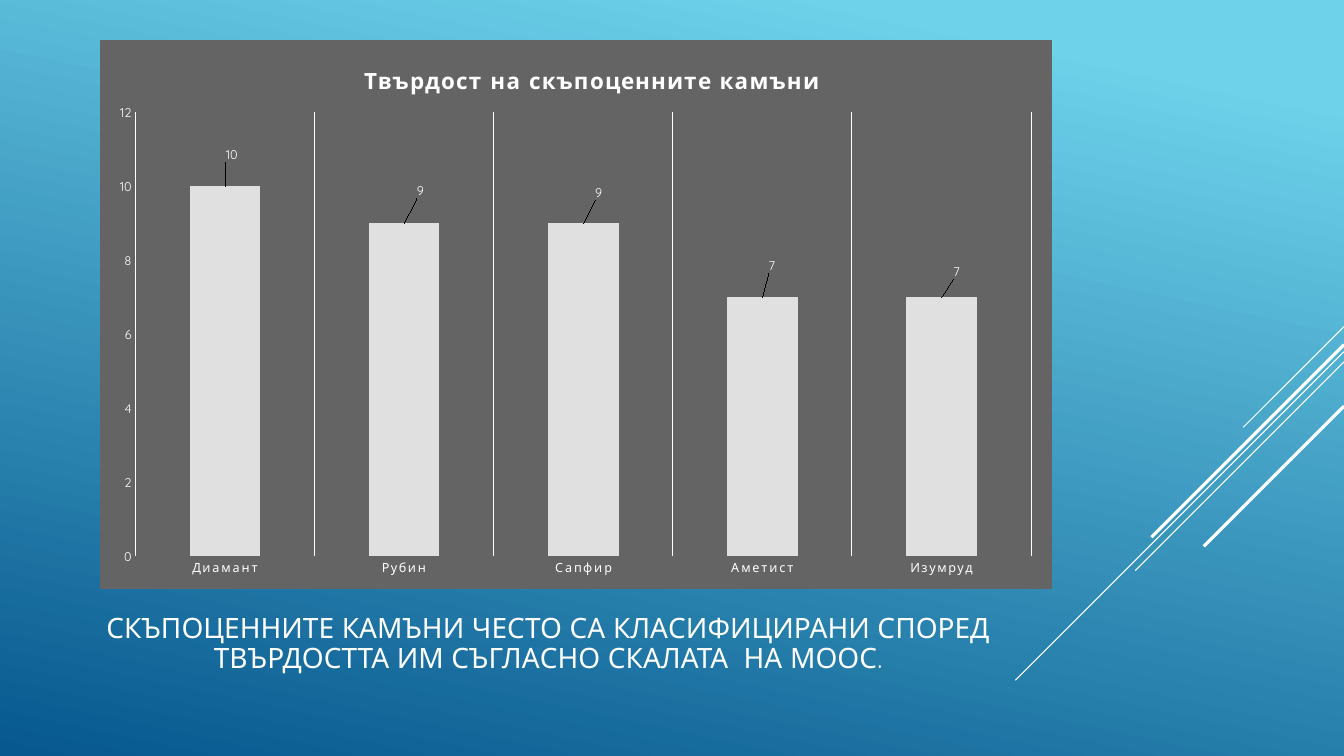
from lxml import etree
from pptx import Presentation
from pptx.chart.data import CategoryChartData
from pptx.dml.color import RGBColor
from pptx.enum.chart import XL_CHART_TYPE, XL_LABEL_POSITION, XL_TICK_MARK
from pptx.enum.shapes import MSO_CONNECTOR
from pptx.enum.text import MSO_ANCHOR, PP_ALIGN
from pptx.oxml import parse_xml
from pptx.oxml.ns import nsdecls, qn
from pptx.util import Inches, Pt

COLUMN = XL_CHART_TYPE.COLUMN_CLUSTERED
ABOVE = XL_LABEL_POSITION.OUTSIDE_END
NO_TICK = XL_TICK_MARK.NONE
STRAIGHT = MSO_CONNECTOR.STRAIGHT
MIDDLE = MSO_ANCHOR.MIDDLE
CENTER = PP_ALIGN.CENTER

WHITE = RGBColor(0xFF, 0xFF, 0xFF)
SKY = RGBColor(0x6E, 0xD2, 0xEB)
NAVY = RGBColor(0x06, 0x58, 0x8E)
GRAY = RGBColor(0x64, 0x64, 0x64)
PALE = RGBColor(0xE0, 0xE0, 0xE0)

STONES = {"Диамант": 10, "Рубин": 9, "Сапфир": 9, "Аметист": 7, "Изумруд": 7}
# Label shifts, in percent of the chart's width and height
SHIFTS = [(0.7, -3.6), (1.7, -3.8), (1.6, -3.5), (1, -3.6), (1.6, -2.6)]
# Start height and run in percent, then line width in points
RAYS = [(43.2, 7.5, 0.75), (46.53, 24.45, 0.75), (47.87, 15.53, 0.75),
        (45.6, 14.33, 2.25), (53.73, 10.43, 2.25)]


def layout(x, y, w=None, h=None, inner=False, edge=True):
    """Return a manual chart layout; lengths are percent of the chart."""
    rows = [("layoutTarget", "inner")] if inner else []
    if edge:
        rows += [("xMode", "edge"), ("yMode", "edge")]
    sizes = zip("xywh", (x, y, w, h))
    rows += [(tag, size / 100) for tag, size in sizes if size is not None]
    body = "".join(f'<c:{tag} val="{val}"/>' for tag, val in rows)
    return parse_xml(f'<c:layout {nsdecls("c")}><c:manualLayout>{body}'
                     '</c:manualLayout></c:layout>')


def place(node, box):
    """Swap in a layout at its place in a title or a plot area."""
    for old in node.findall(qn("c:layout")):
        node.remove(old)
    text = node.find(qn("c:tx"))
    if text is None:
        node.insert(0, box)
    else:
        text.addnext(box)


class Deck:
    """Holds the style and slide; lengths are percent of the slide."""

    font = "Quicksand"
    color = WHITE

    def __init__(self, width, height):
        self.prs = Presentation()
        self.prs.slide_width = Inches(width)
        self.prs.slide_height = Inches(height)
        self.slide = self.prs.slides.add_slide(self.prs.slide_layouts[6])
        self.shapes = self.slide.shapes

    def across(self, share):
        return round(self.prs.slide_width * share / 100)

    def down(self, share):
        return round(self.prs.slide_height * share / 100)

    def box(self, x, y, w, h):
        return self.across(x), self.down(y), self.across(w), self.down(h)

    def style(self, font, size, bold=False):
        font.name, font.size, font.bold = self.font, Pt(size), bold
        font.color.rgb = self.color

    def put(self, frame, text, size, bold=False, space=0, lead=None):
        """Fill a text frame with one centred, formatted run."""
        para = frame.paragraphs[0]
        para.alignment = CENTER
        para.line_spacing = lead
        run = para.add_run()
        run.text = text
        self.style(run.font, size, bold)
        if space:
            run.font._element.set("spc", str(space))

    def back(self, start, end, angle):
        fill = self.slide.background.fill
        fill.gradient()
        fill.gradient_angle = 360 - angle
        for stop, (color, at) in zip(fill.gradient_stops, (start, end)):
            stop.color.rgb, stop.position = color, at

    def ray(self, top, run, width):
        """Draw a 45 degree line from the right edge down to the left."""
        right, start, step = self.across(100), self.down(top), self.across(run)
        line = self.shapes.add_connector(
            STRAIGHT, right, start, right - step, start + step)
        line.line.color.rgb, line.line.width = self.color, Pt(width)
        etree.SubElement(line._element.spPr, qn("a:effectLst"))

    def text(self, spot, text, size, **kind):
        frame = self.shapes.add_textbox(*self.box(*spot)).text_frame
        frame.word_wrap = True
        frame.vertical_anchor = MIDDLE
        self.put(frame, text, size, **kind)

    def axis(self, axis, grid):
        axis.major_tick_mark = axis.minor_tick_mark = NO_TICK
        axis.format.line.fill.background()
        axis.has_major_gridlines = grid
        if grid:
            line = axis.major_gridlines.format.line
            line.color.rgb, line.width = self.color, Pt(0.75)
        self.style(axis.tick_labels.font, 9)

    def panel(self, chart):
        """Fill and frame the whole chart area."""
        area = parse_xml(
            f'<c:spPr {nsdecls("c", "a")}><a:solidFill><a:srgbClr val="{GRAY}"/>'
            '</a:solidFill><a:ln w="9525"><a:solidFill>'
            f'<a:srgbClr val="{GRAY}"/></a:solidFill></a:ln></c:spPr>')
        chart._chartSpace.chart.addnext(area)

    def chart(self, spot, title, values, shifts):
        data = CategoryChartData()
        data.categories = list(values)
        data.add_series("Series 1", list(values.values()))
        chart = self.shapes.add_chart(COLUMN, *self.box(*spot), data).chart
        self.style(chart.font, 10)
        self.panel(chart)
        chart.has_legend = False
        chart.has_title = True
        self.put(chart.chart_title.text_frame, title, 16, bold=True, space=100)
        place(chart.chart_title._element, layout(27.3, 3.6))
        place(chart._chartSpace.chart.plotArea,
              layout(3.7, 13.1, 94.2, 81.1, inner=True))

        self.axis(chart.category_axis, True)
        self.axis(chart.value_axis, False)
        names = chart.category_axis.tick_labels.font
        names._element.set("spc", "120")
        scale = chart.value_axis
        scale.minimum_scale, scale.maximum_scale, scale.major_unit = 0, 12, 2

        plot = chart.plots[0]
        plot.gap_width, plot.vary_by_categories = 154, False
        bars = plot.series[0]
        bars.format.fill.solid()
        bars.format.fill.fore_color.rgb = PALE
        labels = bars.data_labels
        labels.show_value, labels.position = True, ABOVE
        self.style(labels.font, 9)
        for i, shift in enumerate(shifts):
            label = bars.points[i].data_label
            label.position = ABOVE
            self.style(label.font, 9)
            mark = labels._element.findall(qn("c:dLbl"))[i]
            mark.find(qn("c:idx")).addnext(layout(*shift, edge=False))


def main():
    deck = Deck(13.33, 7.5)
    deck.back((SKY, 0.1), (NAVY, 1), 102)
    for ray in RAYS:
        deck.ray(*ray)
    deck.text((5.78, 77.87, 70, 14.8),
              "СКЪПОЦЕННИТЕ КАМЪНИ ЧЕСТО СА КЛАСИФИЦИРАНИ СПОРЕД "
              "ТВЪРДОСТТА ИМ СЪГЛАСНО СКАЛАТА  НА МООС.", 20, lead=0.9)
    deck.chart((7.43, 5.33, 70.82, 72.53),
               "Твърдост на скъпоценните камъни", STONES, SHIFTS)
    deck.prs.save("out.pptx")


if __name__ == "__main__":
    main()
